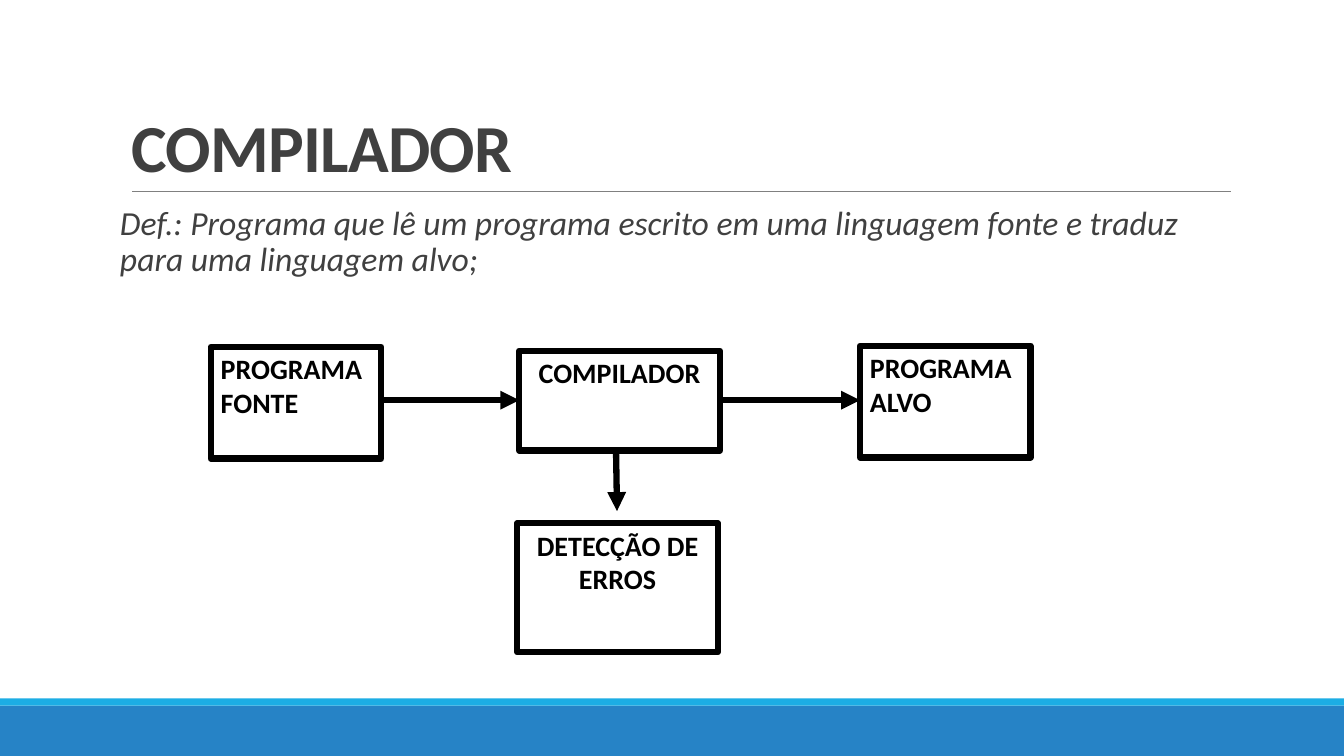
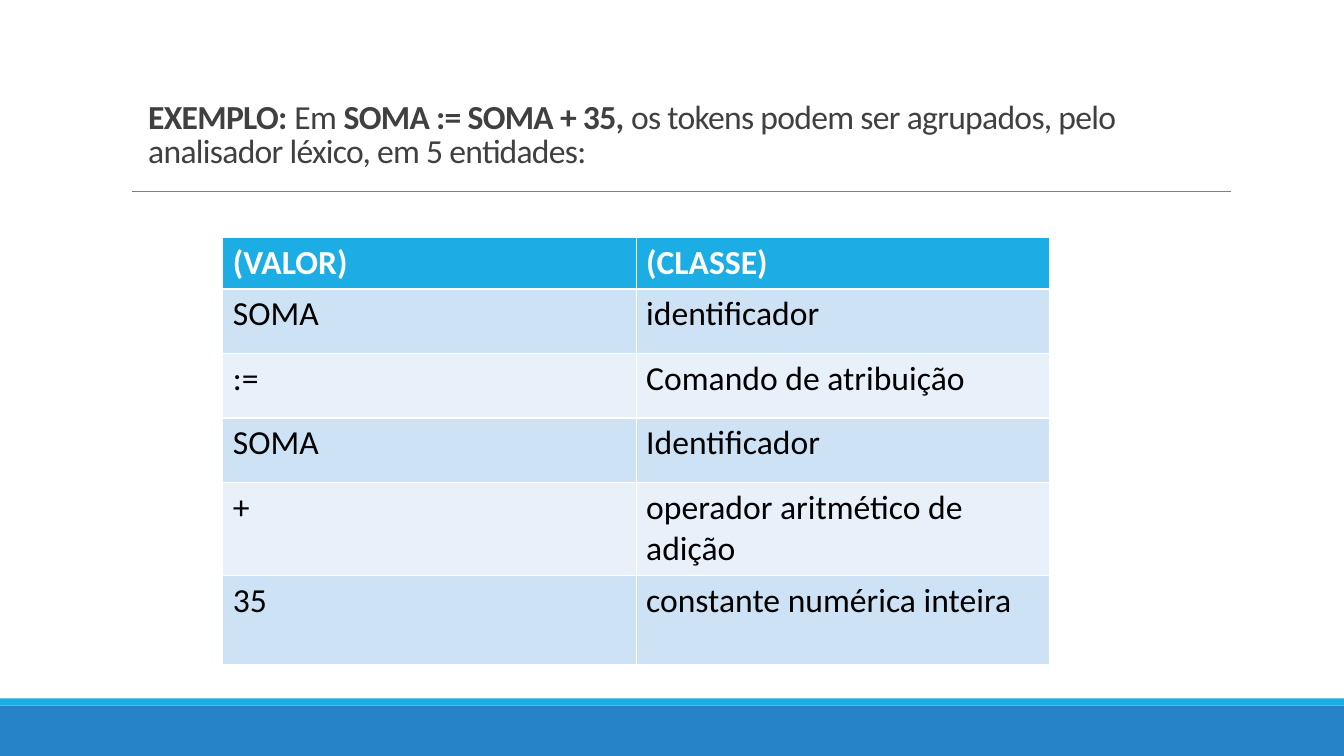
from dataclasses import dataclass

from lxml import etree
from pptx import Presentation
from pptx.dml.color import RGBColor
from pptx.enum.shapes import MSO_CONNECTOR, MSO_SHAPE
from pptx.enum.text import MSO_ANCHOR, MSO_AUTO_SIZE, PP_ALIGN
from pptx.oxml.ns import qn
from pptx.util import Inches, Pt

RECTANGLE = MSO_SHAPE.RECTANGLE
STRAIGHT = MSO_CONNECTOR.STRAIGHT
TOP, BOTTOM = MSO_ANCHOR.TOP, MSO_ANCHOR.BOTTOM
LEFT, CENTER = PP_ALIGN.LEFT, PP_ALIGN.CENTER
NO_AUTOFIT = MSO_AUTO_SIZE.NONE
TITLE_AND_CONTENT, TITLE_ONLY = 1, 5


@dataclass(frozen=True)
class Theme:
    """Colours, font and type sizes of the deck."""
    font: str = "Calibri"
    text: str = "404040"
    ink: str = "000000"
    paper: str = "FFFFFF"
    rule: str = "808080"
    footer: str = "2683C6"
    accent: str = "1CADE4"
    row_dark: str = "CDE3F5"
    row_light: str = "E8F1FA"
    title_size: int = 48
    body_size: int = 24
    node_size: int = 20
    stroke: float = 4.5


THEME = Theme()
SLIDE_WIDTH, SLIDE_HEIGHT = 13.33, 7.5


def rgb(code):
    """Turn a hex code into a colour."""
    return RGBColor.from_string(code)


def style_font(font, size, color, bold=None, italic=None):
    """Apply the deck's font with the given size, colour and emphasis."""
    font.name, font.size = THEME.font, Pt(size)
    font.bold, font.italic = bold, italic
    font.color.rgb = rgb(color)


def place(shape, box):
    """Move a shape to a (left, top, width, height) box in inches."""
    shape.left, shape.top, shape.width, shape.height = map(Inches, box)


def add_box(slide, box, fill, outline=None):
    """Add a flat rectangle, with an outline if a colour is given."""
    rectangle = slide.shapes.add_shape(RECTANGLE, *map(Inches, box))
    rectangle.shadow.inherit = False
    rectangle.fill.solid()
    rectangle.fill.fore_color.rgb = rgb(fill)
    if outline:
        rectangle.line.color.rgb = rgb(outline)
        rectangle.line.width = Pt(THEME.stroke)
    else:
        rectangle.line.fill.background()
    return rectangle


def add_line(slide, start, end, color, width, arrow=False):
    """Add a straight line between two points, with an optional arrowhead."""
    line = slide.shapes.add_connector(STRAIGHT, *map(Inches, start + end))
    line.line.color.rgb = rgb(color)
    line.line.width = Pt(width)
    properties = line.element.spPr
    if arrow:
        etree.SubElement(properties.find(qn("a:ln")), qn("a:tailEnd"), type="triangle")
    etree.SubElement(properties, qn("a:effectLst"))
    return line


def add_master_decoration(master, slide):
    """Draw the footer bands and title rule, then hand them to the master."""
    footer_top, accent_height = 7, 0.07
    decoration = [
        add_box(slide, (0, footer_top, SLIDE_WIDTH, SLIDE_HEIGHT - footer_top), THEME.footer),
        add_box(slide, (0, footer_top - accent_height, SLIDE_WIDTH, accent_height), THEME.accent),
        add_line(slide, (1.31, 1.9), (12.21, 1.9), THEME.rule, 0.5),
    ]
    for offset, part in enumerate(decoration):
        part.element.xpath("./*/p:cNvPr")[0].set("id", str(100 + offset))
        master.shapes.element.insert(2 + offset, part.element)


def fill_title(slide, box, segments, size, bottom_inset=0.05):
    """Write (text, bold) segments into the title placeholder."""
    title = slide.shapes.title
    place(title, box)
    frame = title.text_frame
    frame.word_wrap, frame.auto_size = True, NO_AUTOFIT
    frame.vertical_anchor = BOTTOM
    frame.margin_bottom = Inches(bottom_inset)
    paragraph = frame.paragraphs[0]
    paragraph.alignment, paragraph.line_spacing = LEFT, 0.85
    for text, bold in segments:
        run = paragraph.add_run()
        run.text = text
        style_font(run.font, size, THEME.text, bold)
        run._r.get_or_add_rPr().set("spc", "-50")


def fill_definition(slide, box, text):
    """Write the definition into the body placeholder, without a bullet."""
    body = slide.placeholders[1]
    place(body, box)
    frame = body.text_frame
    frame.word_wrap, frame.auto_size = True, NO_AUTOFIT
    frame.vertical_anchor = TOP
    frame.margin_left = frame.margin_right = 0
    paragraph = frame.paragraphs[0]
    paragraph.text = text
    properties = paragraph._p.get_or_add_pPr()
    properties.set("marL", str(Inches(0.1)))
    properties.set("indent", "0")
    etree.SubElement(properties, qn("a:buNone"))
    paragraph.line_spacing = 0.9
    paragraph.space_before, paragraph.space_after = Pt(12), Pt(2)
    style_font(paragraph.font, THEME.body_size, THEME.text, italic=True)


def add_node(slide, box, text, alignment):
    """Add one labelled box of the flow diagram."""
    frame = add_box(slide, box, THEME.paper, THEME.ink).text_frame
    frame.word_wrap, frame.vertical_anchor = True, TOP
    paragraph = frame.paragraphs[0]
    paragraph.text = text
    paragraph.alignment, paragraph.space_after = alignment, Pt(10)
    style_font(paragraph.font, THEME.node_size, THEME.ink, bold=True)


def add_compiler_flow(slide, box):
    """Draw source, compiler, target and error detection with their arrows."""
    left, top, width, height = box
    program_width, program_height = 1.69, 1.11
    step_width, compiler_height, errors_height = 1.99, 0.99, 1.28
    compiler_left, compiler_top = left + 3.06, top + 0.05
    target_left = left + width - program_width
    errors_top = top + height - errors_height
    flow_y = top + 0.54
    check_x = left + 4.02

    nodes = [
        ((compiler_left, compiler_top, step_width, compiler_height), "COMPILADOR", CENTER),
        ((left, top + 0.01, program_width, program_height), "PROGRAMA FONTE", LEFT),
        ((target_left, top, program_width, program_height), "PROGRAMA ALVO", LEFT),
        ((compiler_left - 0.02, errors_top, step_width, errors_height),
         "DETECÇÃO DE ERROS", CENTER),
    ]
    for node_box, text, alignment in nodes:
        add_node(slide, node_box, text, alignment)

    arrows = [
        ((left + program_width, flow_y), (compiler_left, flow_y)),
        ((compiler_left + step_width, flow_y), (target_left, flow_y)),
        ((check_x, compiler_top + compiler_height), (check_x + 0.01, errors_top - 0.12)),
    ]
    for start, end in arrows:
        add_line(slide, start, end, THEME.ink, THEME.stroke, arrow=True)


def add_token_table(slide, box, rows, row_heights):
    """Add the banded table of token values and classes."""
    table = slide.shapes.add_table(len(rows), len(rows[0]), *map(Inches, box)).table
    for row_index, (values, height) in enumerate(zip(rows, row_heights)):
        table.rows[row_index].height = Inches(height)
        header = row_index == 0
        band = THEME.row_dark if row_index % 2 else THEME.row_light
        for column_index, value in enumerate(values):
            cell = table.cell(row_index, column_index)
            cell.fill.solid()
            cell.fill.fore_color.rgb = rgb(THEME.accent if header else band)
            paragraph = cell.text_frame.paragraphs[0]
            paragraph.text = value
            style_font(paragraph.font, THEME.body_size,
                       THEME.paper if header else THEME.ink, bold=header)


def build_compiler_slide(slide):
    """Build the slide that defines a compiler."""
    fill_title(slide, (1.2, 0.31, 11, 1.59), [("COMPILADOR", True)], THEME.title_size)
    fill_definition(slide, (1.09, 2, 11.11, 2.23),
                    "Def.: Programa que lê um programa escrito em uma linguagem fonte "
                    "e traduz para uma linguagem alvo;")
    add_compiler_flow(slide, (2.09, 3.43, 8.13, 3.04))


def build_token_slide(slide):
    """Build the slide that groups the tokens of an assignment."""
    title = [
        ("EXEMPLO: ", True),
        ("Em ", False),
        ("SOMA := SOMA + 35, ", True),
        ("os tokens podem ser agrupados, pelo analisador léxico, em 5 entidades:", False),
    ]
    fill_title(slide, (1.37, 0.84, 10.98, 1.25), title, THEME.body_size, bottom_inset=0.4)
    tokens = [
        ("(VALOR)", "(CLASSE)"),
        ("SOMA", "identificador"),
        (":=", "Comando de atribuição"),
        ("SOMA", "Identificador"),
        ("+", "operador aritmético de adição"),
        ("35", "constante numérica inteira"),
    ]
    add_token_table(slide, (2.21, 2.36, 8.2, 4.23), tokens,
                    [0.5, 0.64, 0.64, 0.64, 0.92, 0.89])


def main():
    """Build and save the deck."""
    deck = Presentation()
    deck.slide_width, deck.slide_height = Inches(SLIDE_WIDTH), Inches(SLIDE_HEIGHT)
    compiler_slide = deck.slides.add_slide(deck.slide_layouts[TITLE_AND_CONTENT])
    add_master_decoration(deck.slide_master, compiler_slide)
    build_compiler_slide(compiler_slide)
    build_token_slide(deck.slides.add_slide(deck.slide_layouts[TITLE_ONLY]))
    deck.save("out.pptx")


main()
